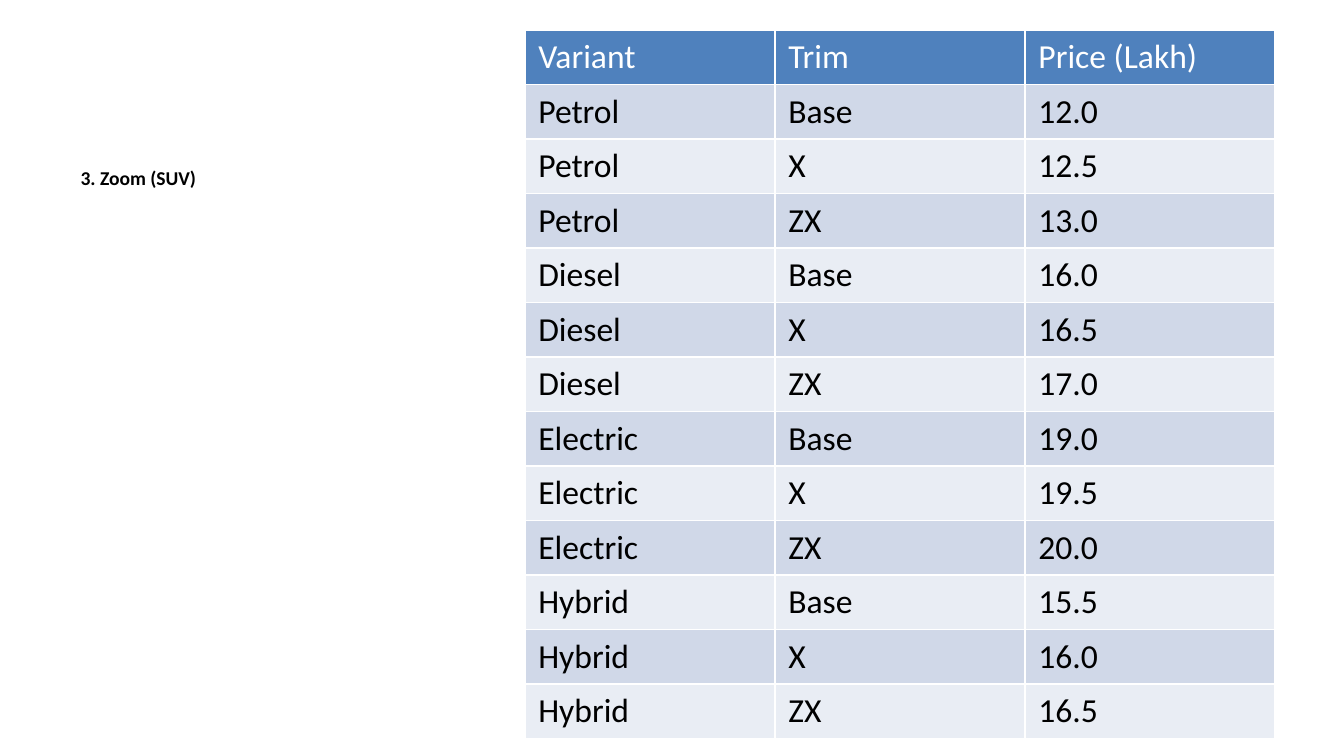
import itertools

import pptx
import pptx.dml.color
import pptx.enum.text
import pptx.util
from pptx.util import Cm

FONT = "Calibri"
BLACK = pptx.dml.color.RGBColor(0x00, 0x00, 0x00)
WHITE = pptx.dml.color.RGBColor(0xFF, 0xFF, 0xFF)
HEADER_BLUE = pptx.dml.color.RGBColor(0x4F, 0x81, 0xBD)
BANDS = (
    pptx.dml.color.RGBColor(0xD0, 0xD8, 0xE8),
    pptx.dml.color.RGBColor(0xE9, 0xED, 0xF4),
)

CAPTION_LAYOUT = 7
CAPTION_PLACEHOLDER = 2

HEADINGS = ("Variant", "Trim", "Price (Lakh)")
TRIMS = ("Base", "X", "ZX")
PRICES = {
    "Petrol": ("12.0", "12.5", "13.0"),
    "Diesel": ("16.0", "16.5", "17.0"),
    "Electric": ("19.0", "19.5", "20.0"),
    "Hybrid": ("15.5", "16.0", "16.5"),
}


def add_run(paragraph, text, size, color, bold=False):
    run = paragraph.add_run()
    run.text = text
    run.font.name = FONT
    run.font.size = pptx.util.Pt(size)
    run.font.bold = bold
    run.font.color.rgb = color


def place_caption(slide, left, top, width, height):
    """Fill the body placeholder and remove the unused ones."""
    for shape in list(slide.placeholders):
        if shape.placeholder_format.idx != CAPTION_PLACEHOLDER:
            shape.element.getparent().remove(shape.element)
            continue
        shape.left, shape.top, shape.width, shape.height = left, top, width, height
        text_frame = shape.text_frame
        text_frame.word_wrap = True
        text_frame.auto_size = pptx.enum.text.MSO_AUTO_SIZE.NONE
        text_frame.vertical_anchor = pptx.enum.text.MSO_ANCHOR.TOP
        paragraph = text_frame.paragraphs[0]
        paragraph.space_before = pptx.util.Pt(0)
        add_run(paragraph, "3. Zoom (SUV)", 10.5, BLACK, bold=True)


def place_price_table(slide, left, top, width, height):
    """Add the price list; white cell borders come from the table style."""
    rows = [HEADINGS]
    for variant, prices in PRICES.items():
        rows += [(variant, trim, price) for trim, price in zip(TRIMS, prices)]
    table = slide.shapes.add_table(
        len(rows), len(HEADINGS), left, top, width, height
    ).table
    fills = itertools.chain([HEADER_BLUE], itertools.cycle(BANDS))
    for row, values, fill in zip(table.rows, rows, fills):
        color = WHITE if fill == HEADER_BLUE else BLACK
        for cell, value in zip(row.cells, values):
            cell.fill.solid()
            cell.fill.fore_color.rgb = fill
            add_run(cell.text_frame.paragraphs[0], value, 18, color)


def main():
    presentation = pptx.Presentation()
    presentation.slide_width = Cm(25.4)
    presentation.slide_height = Cm(14.29)
    slide = presentation.slides.add_slide(presentation.slide_layouts[CAPTION_LAYOUT])
    place_caption(slide, Cm(1.27), Cm(3), Cm(8.36), Cm(9.78))
    place_price_table(slide, Cm(9.92), Cm(0.57), Cm(14.18), Cm(12.17))
    presentation.save("out.pptx")


if __name__ == "__main__":
    main()
